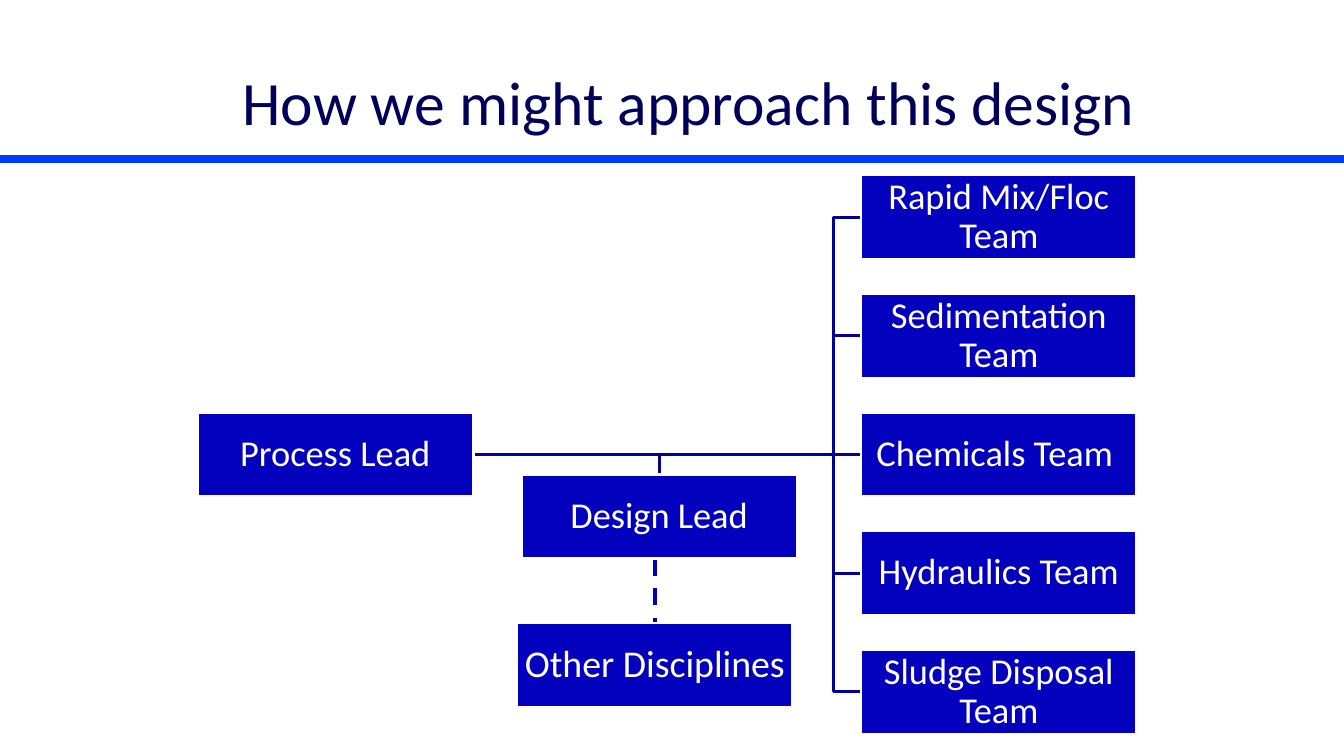
from pptx import Presentation
from pptx.dml.color import RGBColor
from pptx.enum.dml import MSO_LINE
from pptx.enum.shapes import MSO_CONNECTOR as CONN, MSO_SHAPE as SHAPE
from pptx.enum.text import MSO_ANCHOR as ANCHOR, PP_ALIGN as ALIGN
from pptx.oxml.ns import qn
from pptx.util import Cm, Pt
from lxml.etree import SubElement

FONT = "Calibri"
BOX_W, BOX_H = 6.95, 2.13
LEAD_X, TEAM_X, DESIGN_X, OTHER_X = 4.98, 21.7, 13.14, 13.03
TEAM_TOP, TEAM_STEP = 4.41, 2.99
DESIGN_Y, OTHER_Y = 11.95, 15.7
TRUNK_X = 21.0
BOX_FILL, BRANCH, DASH, WHITE = "0300BE", "020098", "0300BA", "FFFFFF"
TEAMS = ["Rapid Mix/Floc Team", "Sedimentation Team", "Chemicals Team ",
         "Hydraulics Team", "Sludge Disposal Team"]


def color(value):
    return RGBColor.from_string(value)


def add_run(p, text, size, hex_color):
    r = p.add_run()
    r.text = text
    r.font.name = FONT
    r.font.size = Pt(size)
    r.font.color.rgb = color(hex_color)


def set_line(sp, hex_color, width):
    sp.line.color.rgb = color(hex_color)
    sp.line.width = Pt(width)


def set_title(s, text):
    sp = s.shapes.title
    sp.left, sp.top, sp.width, sp.height = Cm(1.7), Cm(0.64), Cm(31.32), Cm(3.81)
    tf = sp.text_frame
    tf.vertical_anchor = ANCHOR.MIDDLE
    p = tf.paragraphs[0]
    p.alignment = ALIGN.CENTER
    add_run(p, text, 44, "00005A")


def add_line(s, x1, y1, x2, y2, hex_color, width):
    sp = s.shapes.add_connector(CONN.STRAIGHT, Cm(x1), Cm(y1), Cm(x2), Cm(y2))
    set_line(sp, hex_color, width)
    SubElement(sp._element.spPr, qn("a:effectLst"))
    return sp


def add_branch(s, points):
    start, *rest = [(Cm(x), Cm(y)) for x, y in points]
    builder = s.shapes.build_freeform(*start)
    builder.add_line_segments(rest, close=False)
    sp = builder.convert_to_shape()
    sp.shadow.inherit = False
    sp.fill.background()
    set_line(sp, BRANCH, 2)


def add_box(s, x, y, text, size=26):
    sp = s.shapes.add_shape(SHAPE.RECTANGLE, Cm(x), Cm(y), Cm(BOX_W), Cm(BOX_H))
    sp.shadow.inherit = False
    sp.fill.solid()
    sp.fill.fore_color.rgb = color(BOX_FILL)
    set_line(sp, WHITE, 2)
    tf = sp.text_frame
    tf.word_wrap = True
    tf.vertical_anchor = ANCHOR.MIDDLE
    tf.margin_left = tf.margin_right = tf.margin_top = tf.margin_bottom = Cm(0.05)
    p = tf.paragraphs[0]
    p.alignment = ALIGN.CENTER
    p.line_spacing = 0.9
    add_run(p, text, size, WHITE)
    return sp


def main():
    prs = Presentation()
    prs.slide_width, prs.slide_height = Cm(33.87), Cm(19.05)
    s = prs.slides.add_slide(prs.slide_layouts[5])
    set_title(s, "How we might approach this design")
    add_line(s, 0, 4.01, 33.87, 4.01, "003CFE", 6)

    team_tops = [TEAM_TOP + i * TEAM_STEP for i in range(len(TEAMS))]
    middle = len(TEAMS) // 2
    lead_y = team_tops[middle]
    start = (LEAD_X + BOX_W, lead_y + BOX_H / 2)
    design_mid = DESIGN_X + BOX_W / 2
    other_mid = OTHER_X + BOX_W / 2

    add_branch(s, [start, (design_mid, start[1]), (design_mid, DESIGN_Y)])
    for i, top in enumerate(team_tops):
        if i != middle:
            y = top + BOX_H / 2
            add_branch(s, [start, (TRUNK_X, start[1]), (TRUNK_X, y), (TEAM_X, y)])
    trunk = add_line(s, *start, TEAM_X, start[1], BRANCH, 2)
    dashed = add_line(s, other_mid, DESIGN_Y + BOX_H, other_mid, OTHER_Y, DASH, 3)
    dashed.line.dash_style = MSO_LINE.DASH

    lead = add_box(s, LEAD_X, lead_y, "Process Lead")
    teams = [add_box(s, TEAM_X, top, name) for top, name in zip(team_tops, TEAMS)]
    add_box(s, DESIGN_X, DESIGN_Y, "Design Lead")
    other = add_box(s, OTHER_X, OTHER_Y, "Other Disciplines", 27)

    trunk.begin_connect(lead, 3)
    trunk.end_connect(teams[middle], 1)
    dashed.end_connect(other, 0)
    prs.save("out.pptx")


if __name__ == "__main__":
    main()
